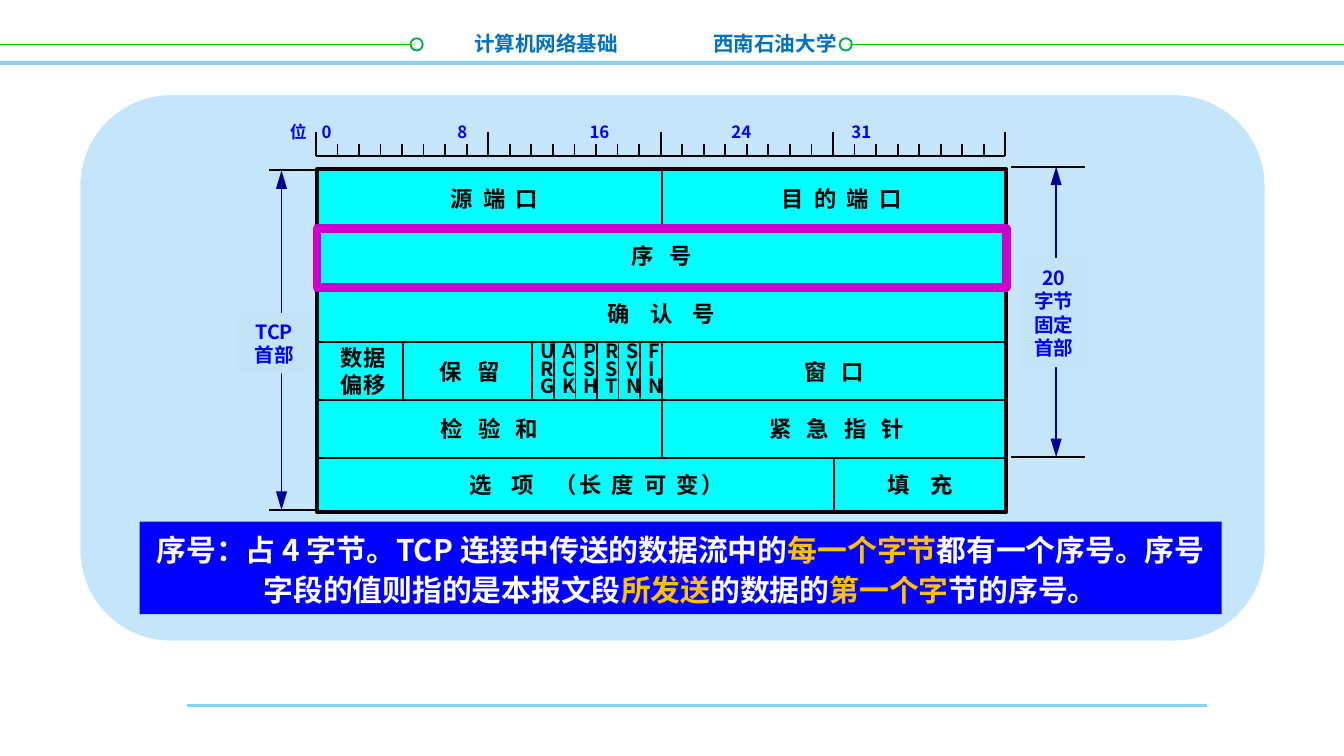
from dataclasses import dataclass

from lxml import etree
from pptx import Presentation
from pptx.dml.color import RGBColor
from pptx.enum.shapes import MSO_CONNECTOR, MSO_SHAPE
from pptx.enum.text import MSO_ANCHOR, PP_ALIGN
from pptx.oxml.ns import qn
from pptx.util import Cm, Pt

STRAIGHT = MSO_CONNECTOR.STRAIGHT
RECT, ROUND_RECT, OVAL = MSO_SHAPE.RECTANGLE, MSO_SHAPE.ROUNDED_RECTANGLE, MSO_SHAPE.OVAL
LEFT, CENTER = PP_ALIGN.LEFT, PP_ALIGN.CENTER
MIDDLE = MSO_ANCHOR.MIDDLE


@dataclass(frozen=True)
class Theme:
    font: str = "Noto Sans CJK SC"
    ink: str = "000000"
    white: str = "FFFFFF"
    rule: str = "85D1F7"
    green_line: str = "00CC00"
    green_ring: str = "00B050"
    heading: str = "0070C0"
    panel: str = "C5E5FB"
    label_fill: str = "C3E3F9"
    blue: str = "0000FF"
    arrow: str = "000099"
    cell: str = "00FFFF"
    highlight: str = "CC00CC"
    accent: str = "FFC000"
    heading_size: float = 11
    cell_size: float = 12
    small_size: float = 10.5
    scale_size: float = 9
    note_size: float = 16


THEME = Theme()
BITS = 32
ROW_HEIGHT = 1.09

# Each field: runs of (text, extra letter spacing in points), bits, shift in cm
HEADER_ROWS = [
    [([("源 端 口", 1.35)], 16, 0.1), ([("目 的 端 口", 1.35)], 16, 0.15)],
    [([("序 号", 2.7)], 32, 0)],
    [([("确 认 号", 4.05)], 32, 0)],
    [([("数据\n偏移", 0)], 4, 0.06), ([("保 留", 2.7)], 6, 0.04),
     *[([(flag, 0)], 1, 0) for flag in ("URG", "ACK", "PSH", "RST", "SYN", "FIN")],
     ([("窗 口", 2.7)], 16, 0)],
    [([("检 验 和", 2.7)], 16, 0), ([("紧 急 指 针", 2.7)], 16, 0.05)],
    [([("选 项 ", 4.05), ("（长 度 可 变）", 1.35)], 24, 0.4), ([("填 充", 4.05)], 8, 0)],
]


def add_line(slide, x1, y1, x2, y2, color=THEME.ink, width=1, arrows=False):
    line = slide.shapes.add_connector(STRAIGHT, Cm(x1), Cm(y1), Cm(x2), Cm(y2))
    line.line.color.rgb = RGBColor.from_string(color)
    line.line.width = Pt(width)
    if arrows:
        for end in ("a:headEnd", "a:tailEnd"):
            etree.SubElement(line.line._get_or_add_ln(), qn(end),
                             type="triangle", w="med", len="lg")
    etree.SubElement(line._element.spPr, qn("a:effectLst"))


def add_box(slide, kind, box, fill=None, outline=None, width=1):
    shape = slide.shapes.add_shape(kind, *map(Cm, box))
    shape.shadow.inherit = False
    if fill:
        shape.fill.solid()
        shape.fill.fore_color.rgb = RGBColor.from_string(fill)
    else:
        shape.fill.background()
    if outline:
        shape.line.color.rgb = RGBColor.from_string(outline)
        shape.line.width = Pt(width)
    else:
        shape.line.fill.background()
    return shape


def style(paragraph, size, color=None, align=CENTER):
    paragraph.alignment = align
    font = paragraph.font
    font.name, font.size, font.bold = THEME.font, Pt(size), True
    if color:
        font.color.rgb = RGBColor.from_string(color)
    defaults = paragraph._p.pPr.find(qn("a:defRPr"))
    defaults.find(qn("a:latin")).addnext(
        etree.Element(qn("a:ea"), typeface=THEME.font))


def write(shape, lines, size, color, align=CENTER, wrap=True, spacing=None):
    """Each line is a list of (text, letter spacing) runs."""
    frame = shape.text_frame
    frame.word_wrap, frame.vertical_anchor = wrap, MIDDLE
    for number, runs in enumerate(lines):
        paragraph = frame.add_paragraph() if number else frame.paragraphs[0]
        for text, gap in runs:
            run = paragraph.add_run()
            run.text = text
            if gap:
                run._r.get_or_add_rPr().set("spc", str(round(gap * 100)))
        if spacing:
            paragraph.line_spacing = spacing
        style(paragraph, size, color, align)


def add_text(slide, box, *args, **options):
    write(slide.shapes.add_textbox(*map(Cm, box)), *args, **options)


def page_frame(slide, box):
    left, top, width, height = box
    right, green_y, ring = left + width, top + 0.84, 0.23
    add_line(slide, left + 3.53, top + 13.34, right - 2.59, top + 13.34, THEME.rule, 1.5)
    add_line(slide, left, top + 1.19, right, top + 1.19, THEME.rule, 2)
    # Green lines, each ending in a ring beside the headings
    for start, end, ring_x in ((left, 7.87, 7.76), (15.88, right, 15.87)):
        add_line(slide, start, green_y, end, green_y, THEME.green_line)
        add_box(slide, OVAL, (ring_x, green_y - ring / 2, ring, ring),
                THEME.white, THEME.green_ring)
    for x, heading in ((8.71, "计算机网络基础"), (13.23, "西南石油大学")):
        add_text(slide, (x, top + 0.46, 3.3, 0.71), [[(heading, 0)]],
                 THEME.heading_size, THEME.heading, LEFT, wrap=False)


def bit_ruler(slide, box):
    left, top, width, height = box
    bottom = top + height
    add_line(slide, left, bottom, left + width, bottom)
    for bit in range(BITS + 1):
        x = left + width * bit / BITS
        tick = height if bit % 8 == 0 else height / 2
        add_line(slide, x, bottom - tick, x, bottom)
    # Scale numbers sit on centred tab stops
    scale = slide.shapes.add_textbox(Cm(left - 0.74), Cm(top - 0.31), Cm(14.17), Cm(0.64))
    scale.text_frame.word_wrap, scale.text_frame.vertical_anchor = True, MIDDLE
    paragraph = scale.text_frame.paragraphs[0]
    paragraph.text = "位\t0\t8\t16\t24\t31"
    stops = etree.SubElement(paragraph._p.get_or_add_pPr(), qn("a:tabLst"))
    for stop in (0.69, 3.26, 5.85, 8.53, 10.8):
        etree.SubElement(stops, qn("a:tab"), pos=str(Cm(stop)), algn="ctr")
    style(paragraph, THEME.scale_size, THEME.blue, LEFT)


def segment_header(slide, box):
    left, top, width, height = box
    add_box(slide, RECT, box, THEME.cell, THEME.ink, 2)
    for number, fields in enumerate(HEADER_ROWS):
        y = top + number * ROW_HEIGHT
        row_height = min(ROW_HEIGHT, top + height - y)
        if number:
            add_line(slide, left, y, left + width, y)
        bit = 0
        for runs, bits, shift in fields:
            x, cell_width = left + width * bit / BITS, width * bits / BITS
            if bit:
                add_line(slide, x, y, x, y + row_height)
            cell = (x + shift, y, cell_width, row_height)
            if bits == 1:  # flag name set one letter per line
                letters = [[(letter, 0)] for letter in runs[0][0]]
                add_text(slide, cell, letters, THEME.small_size, THEME.ink,
                         wrap=False, spacing=0.75)
            else:
                lines = [[(part, 0)] for part in runs[0][0].split("\n")]
                add_text(slide, cell, lines if len(lines) > 1 else [runs],
                         THEME.cell_size, THEME.ink, wrap=False)
            bit += bits
    # Sequence number row
    add_box(slide, RECT, (left, top + ROW_HEIGHT + 0.03, width, 1.12),
            outline=THEME.highlight, width=4.5)


def length_span(slide, box, arrow_x, label_box, lines, wrap):
    left, top, width, height = box
    add_line(slide, arrow_x, top, arrow_x, top + height, THEME.arrow, arrows=True)
    for y in (top, top + height):
        add_line(slide, left, y, left + width, y)
    label = add_box(slide, RECT, label_box, THEME.label_fill)
    write(label, [[(line, 0)] for line in lines], THEME.small_size, THEME.blue, wrap=wrap)


def sequence_note(slide, box):
    note = add_box(slide, RECT, box, THEME.blue)
    frame = note.text_frame
    frame.word_wrap, frame.vertical_anchor = True, MIDDLE
    paragraph = frame.paragraphs[0]
    paragraph.line_spacing = 1.1
    for text, color in (
        ("序号：占 4 字节。TCP 连接中传送的数据流中的", THEME.white),
        ("每一个字节", THEME.accent),
        ("都有一个序号。序号字段的值则指的是本报文段", THEME.white),
        ("所发送", THEME.accent),
        ("的数据的", THEME.white),
        ("第一个字", THEME.accent),
        ("节的序号。", THEME.white),
    ):
        run = paragraph.add_run()
        run.text = text
        run.font.color.rgb = RGBColor.from_string(color)
    style(paragraph, THEME.note_size)


def main():
    deck = Presentation()
    deck.slide_width, deck.slide_height = Cm(25.4), Cm(14.29)
    slide = deck.slides.add_slide(deck.slide_layouts[6])
    page_frame(slide, (0, 0, 25.4, 14.29))
    add_box(slide, ROUND_RECT, (1.52, 1.8, 22.38, 10.31), THEME.panel)
    bit_ruler(slide, (5.97, 2.49, 13.03, 0.46))
    segment_header(slide, (5.99, 3.2, 13.03, 6.48))
    length_span(slide, (5.08, 3.22, 0.89, 6.42), 5.32,
                (4.5, 5.92, 1.37, 1.14), ["TCP 首部"], True)
    length_span(slide, (19.1, 3.15, 1.4, 5.49), 19.96,
                (19.3, 4.88, 1.24, 2.06), ["20", "字节", "固定", "首部"], False)
    sequence_note(slide, (2.64, 9.86, 20.45, 1.75))
    deck.save("out.pptx")


if __name__ == "__main__":
    main()
